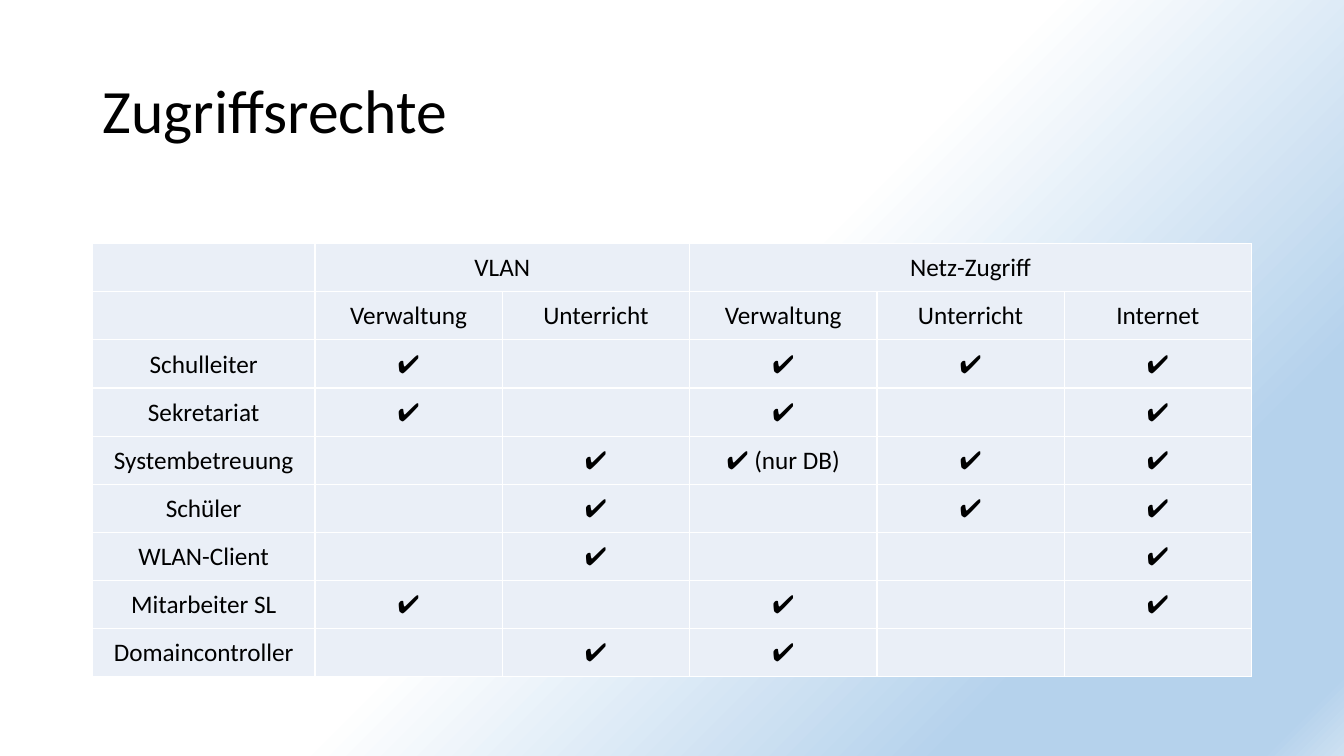
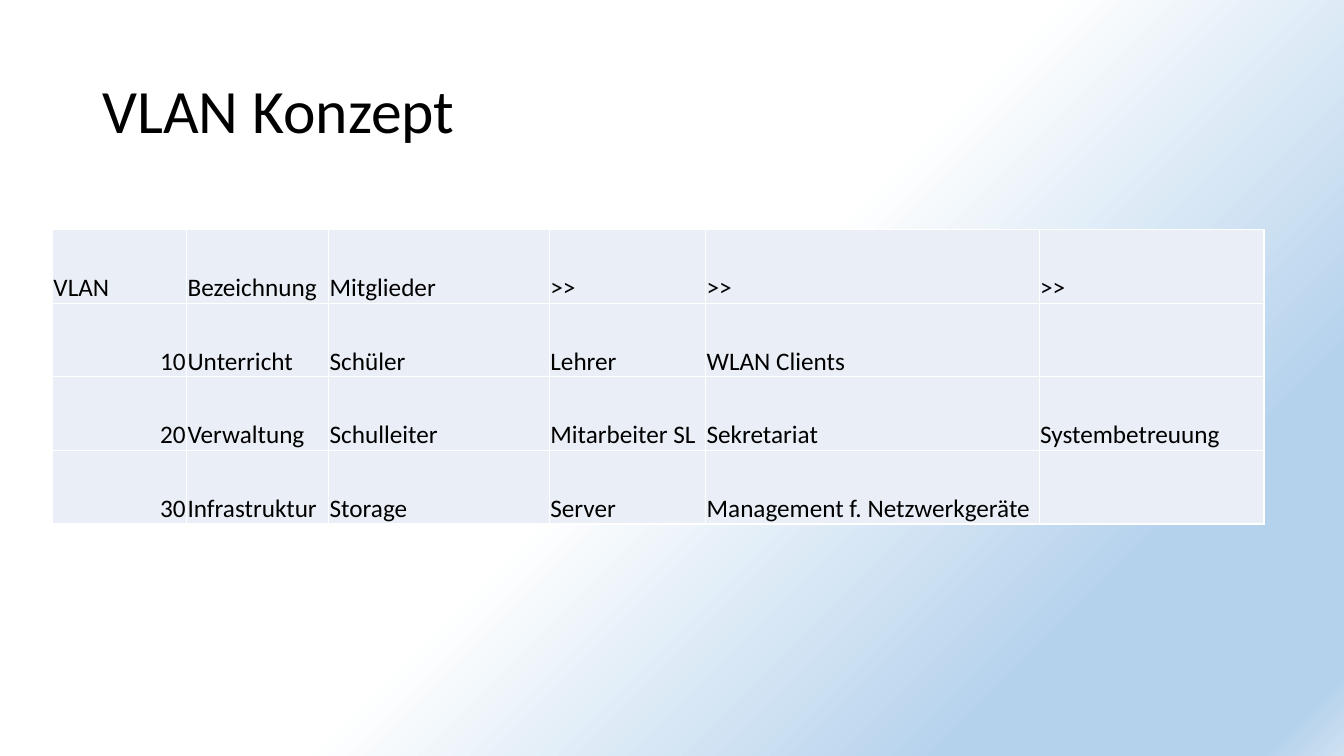
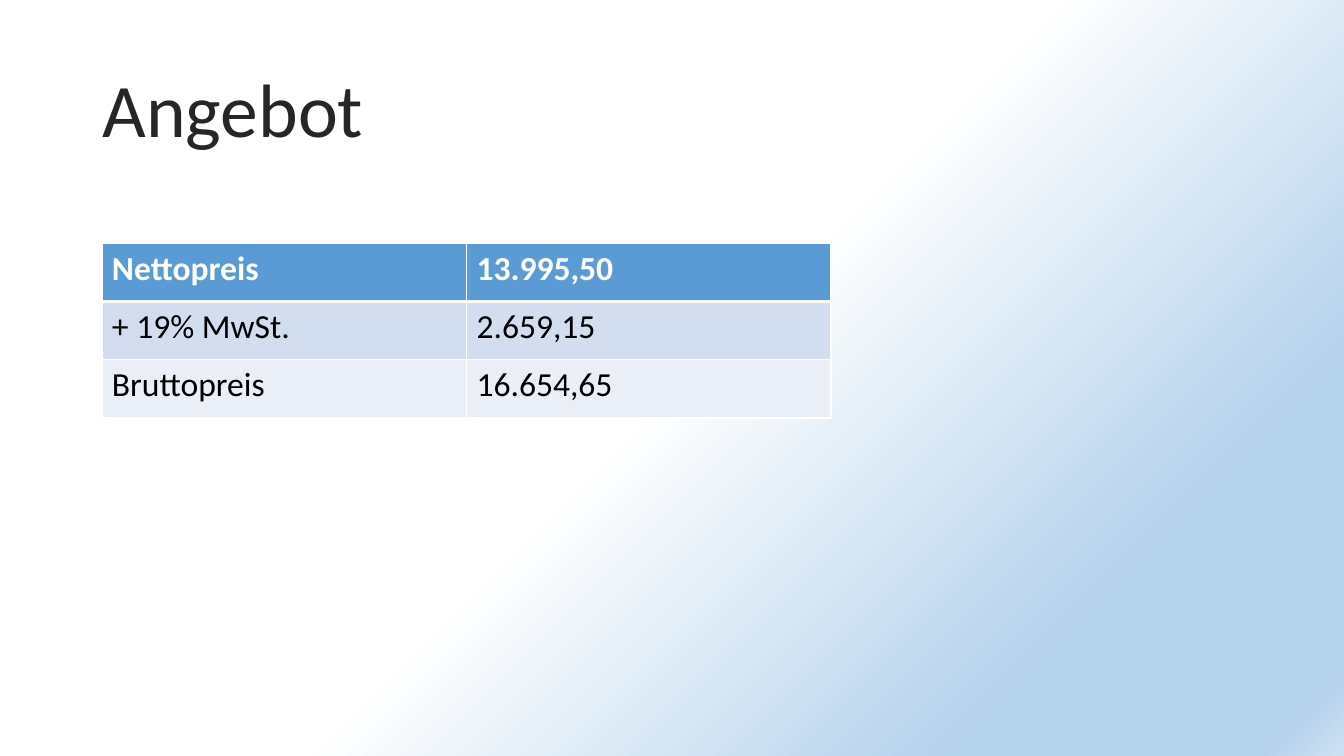
from lxml import etree
from pptx import Presentation
from pptx.dml.color import RGBColor
from pptx.enum.text import MSO_ANCHOR, PP_ALIGN
from pptx.oxml.ns import qn
from pptx.util import Pt

LEFT, CENTER, RIGHT = PP_ALIGN.LEFT, PP_ALIGN.CENTER, PP_ALIGN.RIGHT
TOP, MIDDLE, BOTTOM = MSO_ANCHOR.TOP, MSO_ANCHOR.MIDDLE, MSO_ANCHOR.BOTTOM
FONT = "Calibri"
WHITE = RGBColor(0xFF, 0xFF, 0xFF)
BLACK = RGBColor(0, 0, 0)
CHARCOAL = RGBColor(0x26, 0x26, 0x26)
BLUE = RGBColor(0x5B, 0x9B, 0xD5)
BAND = RGBColor(0xD2, 0xDE, 0xEF)
PALE = RGBColor(0xEA, 0xEF, 0xF7)
SKY = RGBColor(0xB5, 0xD2, 0xEC)
MIST = RGBColor(0xCE, 0xE1, 0xF2)
BACKGROUND_STOPS = [(50, WHITE), (81, SKY), (96, SKY), (100, MIST)]
TIGHT = (0.72, 0.72, 0.72, 0)
ROOMY = (7.2, 3.6, 7.2, 3.6)
YES = "✔"


def write(tf, text, size=18, color=BLACK, bold=False, align=LEFT, spacing=1.0):
    """Put one formatted run of text into a text frame."""
    p = tf.paragraphs[0]
    p.alignment = align
    p.line_spacing = spacing
    r = p.add_run()
    r.text = text
    r.font.name = FONT
    r.font.size = Pt(size)
    r.font.bold = bold
    r.font.color.rgb = color


def style_master(prs, layout):
    """Set the shared background gradient and the title box."""
    master = prs.slide_master
    fill = master.background.fill
    fill.gradient()
    fill.gradient_angle = 315
    stops = next(master.element.iter(qn("a:gsLst")))
    for old in list(stops):
        stops.remove(old)
    for percent, color in BACKGROUND_STOPS:
        stop = etree.SubElement(stops, qn("a:gs"), pos=str(percent * 1000))
        etree.SubElement(stop, qn("a:srgbClr"), val=str(color))
    title = layout.placeholders[0]
    title.left, title.top, title.width, title.height = Pt(66), Pt(28.8), Pt(828), Pt(104.4)
    title.text_frame.vertical_anchor = MIDDLE


def add_titled_slide(prs, layout, text, size=44, color=BLACK):
    """Add a slide with its title."""
    s = prs.slides.add_slide(layout)
    write(s.shapes.title.text_frame, text, size=size, color=color, spacing=0.9)
    return s


def set_borders(cell, top=1, bottom=1):
    """Draw white lines around a cell."""
    tc_pr = cell._tc.get_or_add_tcPr()
    for side, width in (("L", 1), ("R", 1), ("T", top), ("B", bottom)):
        line = etree.SubElement(tc_pr, qn(f"a:ln{side}"), w=str(Pt(width)))
        solid = etree.SubElement(line, qn("a:solidFill"))
        etree.SubElement(solid, qn("a:srgbClr"), val=str(WHITE))


def add_grid(s, left, top, widths, row_height, rows, fills=None, insets=TIGHT,
             anchor=MIDDLE, align=LEFT, size=18, header=False):
    """Add a table with bordered cells and one fill per row."""
    frame = s.shapes.add_table(len(rows), len(widths), Pt(left), Pt(top),
                               Pt(sum(widths)), Pt(row_height * len(rows)))
    table = frame.table
    table.first_row = header
    table.horz_banding = False
    for column, width in zip(table.columns, widths):
        column.width = Pt(width)
    for i, texts in enumerate(rows):
        table.rows[i].height = Pt(row_height)
        head = header and i == 0
        for j, text in enumerate(texts):
            cell = table.cell(i, j)
            set_borders(cell, top=3 if header and i == 1 else 1, bottom=3 if head else 1)
            cell.fill.solid()
            cell.fill.fore_color.rgb = fills[i] if fills else PALE
            cell.vertical_anchor = anchor
            (cell.margin_left, cell.margin_top,
             cell.margin_right, cell.margin_bottom) = map(Pt, insets)
            if text:
                write(cell.text_frame, text, size=size, bold=head,
                      color=WHITE if head else BLACK,
                      align=RIGHT if text.isdigit() else align)
    return table


def access_slide(prs, layout):
    """Build the table of access rights."""
    s = add_titled_slide(prs, layout, "Zugriffsrechte")
    rows = [
        ["", "VLAN", "", "Netz-Zugriff", "", ""],
        ["", "Verwaltung", "Unterricht", "Verwaltung", "Unterricht", "Internet"],
        ["Schulleiter", YES, "", YES, YES, YES],
        ["Sekretariat", YES, "", YES, "", YES],
        ["Systembetreuung", "", YES, f"{YES} (nur DB)", YES, YES],
        ["Schüler", "", YES, "", YES, YES],
        ["WLAN-Client", "", YES, "", "", YES],
        ["Mitarbeiter SL", YES, "", YES, "", YES],
        ["Domaincontroller", "", YES, YES, "", ""],
    ]
    table = add_grid(s, 66, 174, [159] + [133.8] * 5, 34.4, rows, align=CENTER)
    table.cell(0, 1).merge(table.cell(0, 2))
    table.cell(0, 3).merge(table.cell(0, 5))


def vlan_slide(prs, layout):
    """Build the table of VLANs and their members."""
    s = add_titled_slide(prs, layout, "VLAN Konzept")
    rows = [
        ["VLAN", "Bezeichnung", "Mitglieder", ">>", ">>", ">>"],
        ["10", "Unterricht", "Schüler", "Lehrer", "WLAN Clients", ""],
        ["20", "Verwaltung", "Schulleiter", "Mitarbeiter SL", "Sekretariat",
         "Systembetreuung"],
        ["30", "Infrastruktur", "Storage", "Server", "Management f. Netzwerkgeräte", ""],
    ]
    add_grid(s, 37.5, 164, [95.8, 101.5, 157.7, 111.6, 238.2, 160.6], 52.6, rows,
             anchor=BOTTOM)


def offer_slide(prs, layout):
    """Build the price table."""
    s = add_titled_slide(prs, layout, "Angebot", size=54, color=CHARCOAL)
    rows = [
        ["Nettopreis", "13.995,50"],
        ["+ 19% MwSt.", "2.659,15"],
        ["Bruttopreis", "16.654,65"],
    ]
    add_grid(s, 72.8, 173.8, [260.4] * 2, 41.6, rows, fills=[BLUE, BAND, PALE],
             insets=ROOMY, anchor=TOP, size=24, header=True)


def main():
    """Build and save the presentation."""
    prs = Presentation()
    prs.slide_width, prs.slide_height = Pt(960), Pt(540)
    layout = prs.slide_layouts.get_by_name("Title Only")
    style_master(prs, layout)
    for build in (access_slide, vlan_slide, offer_slide):
        build(prs, layout)
    prs.save("out.pptx")


if __name__ == "__main__":
    main()
